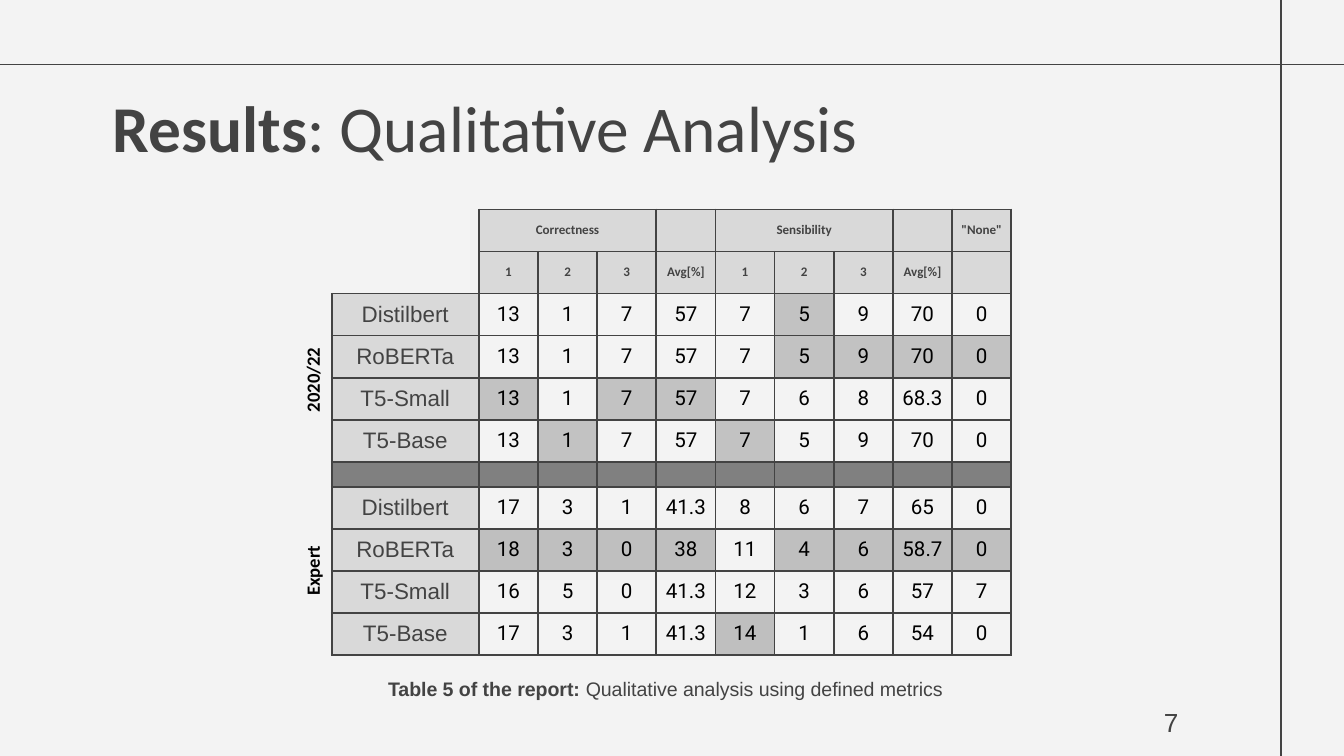
from lxml.etree import SubElement
from pptx import Presentation
from pptx.dml.color import RGBColor
from pptx.enum.shapes import MSO_CONNECTOR
from pptx.enum.text import MSO_ANCHOR, MSO_AUTO_SIZE, PP_ALIGN
from pptx.oxml.ns import qn
from pptx.util import Cm, Pt

INK = RGBColor(0x43, 0x43, 0x43)
BLACK = RGBColor(0, 0, 0)
PAPER = RGBColor(0xF3, 0xF3, 0xF3)
HEAD = RGBColor(0xD9, 0xD9, 0xD9)
BAR = RGBColor(0x80, 0x80, 0x80)
MARK_TOP = RGBColor(0xC2, 0xC2, 0xC2)
MARK_LOW = RGBColor(0xBF, 0xBF, 0xBF)

WIDE, HIGH = 25.4, 14.29
PLAIN = "{2D5ABB26-0587-4C30-8999-92F81FD0307C}"
MODELS = ["Distilbert", "RoBERTa", "T5-Small", "T5-Base"]
GROUPS = ["", "Correctness", "", "", "", "Sensibility", "", "", "", '"None"']
SCALE = ["", *["1", "2", "3", "Avg[%]"] * 2, ""]
RECENT = [
    "13 1 7 57 7 5* 9 70 0",
    "13 1 7 57 7 5* 9* 70* 0*",
    "13* 1 7* 57* 7 6 8 68.3 0",
    "13 1* 7 57 7* 5 9 70 0",
]
EXPERT = [
    "17 3 1 41.3 8 6 7 65 0",
    "18* 3* 0* 38* 11 4* 6* 58.7* 0*",
    "16 5 0 41.3 12 3 6 57 7",
    "17 3 1 41.3 14* 1 6 54 0",
]


def style(para, size, name, color, bold=None, align=None):
    """Set the font and alignment of a paragraph."""
    font = para.font
    font.size, font.name, font.bold = Pt(size), name, bold
    font.color.rgb = color
    para.alignment = align


def fill_text(shape, box, parts, anchor=MSO_ANCHOR.TOP, inset=0.25):
    """Place a text shape, write its runs and return the paragraph."""
    shape.left, shape.top, shape.width, shape.height = map(Cm, box)
    frame = shape.text_frame
    frame.word_wrap = True
    frame.auto_size = MSO_AUTO_SIZE.NONE
    frame.vertical_anchor = anchor
    frame.margin_left = frame.margin_right = Cm(0.25)
    frame.margin_top = frame.margin_bottom = Cm(inset)
    para = frame.paragraphs[0]
    for text, bold in parts:
        run = para.add_run()
        run.text = text
        run.font.bold = bold
    return para


def add_text(slide, box, parts, **opts):
    """Add a text box and return its paragraph."""
    return fill_text(slide.shapes.add_textbox(0, 0, 0, 0), box, parts, **opts)


def add_rule(slide, *ends):
    """Draw one thin rule between two points."""
    rule = slide.shapes.add_connector(MSO_CONNECTOR.STRAIGHT, *map(Cm, ends))
    rule.line.color.rgb = INK
    rule.line.width = Pt(0.75)
    SubElement(rule._element.spPr, qn("a:effectLst"))


def add_side(slide, mid, low, text):
    """Add a label that reads upward from its low end."""
    span, deep = 7.1, 0.69
    box = (mid - span / 2, low - span / 2 - deep / 2, span, deep)
    para = add_text(slide, box, [(text, True)], inset=0.13)
    style(para, 10, "Calibri", BLACK)
    slide.shapes[-1].rotation = 270


def add_edge(cell, sides):
    """Draw the given sides of a cell."""
    props = cell._tc.get_or_add_tcPr()
    for spot, side in enumerate(s for s in "LRTB" if s in sides):
        line = SubElement(props, qn("a:ln" + side), w=str(Pt(1)))
        paint = SubElement(line, qn("a:solidFill"))
        SubElement(paint, qn("a:srgbClr"), val=str(INK))
        props.insert(spot, line)


def set_cell(cell, text, fill, font, sides="LRTB"):
    """Write, fill and frame one cell."""
    cell.margin_left = cell.margin_right = cell.margin_top = cell.margin_bottom = 0
    cell.vertical_anchor = MSO_ANCHOR.MIDDLE
    para = cell.text_frame.paragraphs[0]
    style(para, *font, align=PP_ALIGN.CENTER)
    if text:
        para.add_run().text = text
    else:
        SubElement(para._p, qn("a:endParaRPr"), sz="700")
    if fill is None:
        cell.fill.background()
    else:
        cell.fill.solid()
        cell.fill.fore_color.rgb = fill
    add_edge(cell, sides)


def list_rows():
    """Give each row as a list of text, fill and font."""
    small = (7, "Calibri", INK, True)
    label = (12, "Arial", INK, False)
    digit = (11, "Roboto", BLACK, False)
    rows = [[(t, HEAD if c else None, small) for c, t in enumerate(line)]
            for line in (GROUPS, SCALE)]
    for block, mark in ((RECENT, MARK_TOP), (EXPERT, MARK_LOW)):
        if block is EXPERT:
            rows.append([("", BAR, small)] * len(GROUPS))
        for model, line in zip(MODELS, block):
            rows.append([(model, HEAD, label)] + [
                (t.rstrip("*"), mark if "*" in t else PAPER, digit)
                for t in line.split()])
    return rows


def add_scores(slide, left, top, width, height):
    """Add the score table and its two side labels."""
    rows = list_rows()
    first, gap, bar = 2.78, 0.47, len(RECENT) + 2
    frame = slide.shapes.add_table(
        len(rows), len(GROUPS), *map(Cm, (left, top, width, height)))
    grid = frame.table
    grid.first_row = grid.horz_banding = False
    grid._tbl.tblPr.find(qn("a:tableStyleId")).text = PLAIN
    for c, col in enumerate(grid.columns):
        col.width = Cm((width - first) / (len(GROUPS) - 1) if c else first)
    for r, row in enumerate(grid.rows):
        row.height = Cm(gap if r == bar else (height - gap) / (len(rows) - 1))
    for r, line in enumerate(rows):
        for c, (text, fill, font) in enumerate(line):
            sides = "LRTB" if fill is not None else "RB"[:r + 1]
            set_cell(grid.cell(r, c), text, fill, font, sides)
    for c in (1, 5):
        grid.cell(0, c).merge(grid.cell(0, c + 2))
    add_side(slide, left - 0.36, top + 4.08, "2020/22")
    add_side(slide, left - 0.36, top + 7.55, "Expert")


def add_title(slide, box):
    """Fill the title placeholder."""
    parts = [("Results", True), (": Qualitative Analysis", False)]
    para = fill_text(slide.shapes.title, box, parts)
    style(para, 35, "Calibri", INK, align=PP_ALIGN.LEFT)


def add_foot(slide, left, top, width):
    """Add the table caption and the page number."""
    parts = [("Table 5 of the report: ", True),
             ("Qualitative analysis using defined metrics", False)]
    para = add_text(slide, (left, top, width, 0.61), parts)
    style(para, 10.5, "Arial", INK, align=PP_ALIGN.CENTER)
    box = (left + width - 2.59, top + 0.56, 1.52, 1.09)
    para = add_text(slide, box, [("7", None)], anchor=MSO_ANCHOR.MIDDLE)
    style(para, 14, "Arial", INK, align=PP_ALIGN.RIGHT)


def main():
    """Build the slide and save it."""
    deck = Presentation()
    deck.slide_width, deck.slide_height = Cm(WIDE), Cm(HIGH)
    slide = deck.slides.add_slide(deck.slide_layouts[5])
    slide.background.fill.solid()
    slide.background.fill.fore_color.rgb = PAPER
    add_rule(slide, 24.21, 0, 24.21, HIGH)
    add_rule(slide, 0, 1.22, WIDE, 1.22)
    add_title(slide, (1.88, 1.4, 22.02, 1.35))
    add_scores(slide, 6.27, 3.96, 12.85, 8.42)
    add_foot(slide, 1.57, 12.55, 22.02)
    deck.save("out.pptx")


main()
